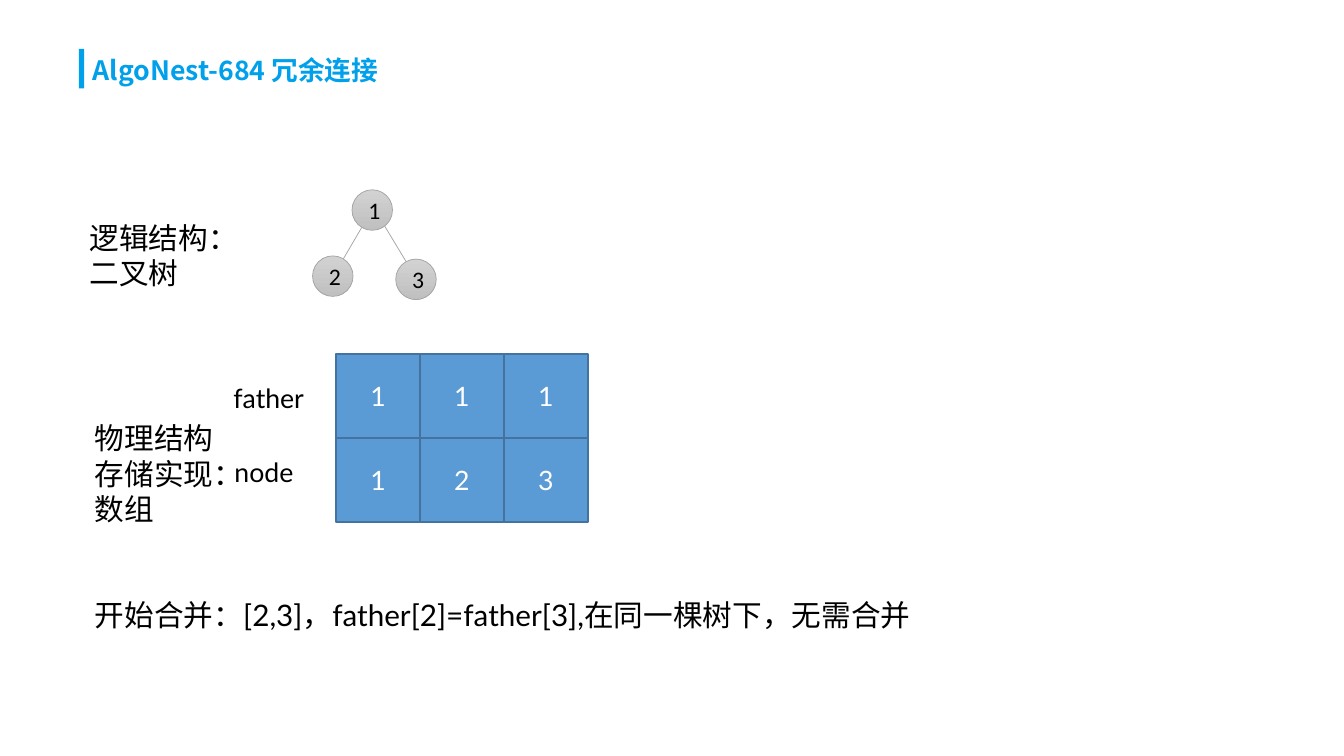
from dataclasses import dataclass

from lxml.etree import SubElement
from pptx import Presentation
from pptx.dml.color import RGBColor
from pptx.enum.shapes import MSO_CONNECTOR, MSO_SHAPE
from pptx.enum.text import MSO_ANCHOR, MSO_AUTO_SIZE, PP_ALIGN
from pptx.oxml.ns import qn
from pptx.shapes.autoshape import Shape
from pptx.slide import Slide
from pptx.text.text import TextFrame
from pptx.util import Inches, Pt

ACCENT = "00A0EA"
BLACK = "000000"
WHITE = "FFFFFF"
CELL_FILL = "5B9BD5"
CELL_LINE = "43739E"
NODE_TOP = "D2D2D2"
NODE_BOTTOM = "C0C0C0"
NODE_LINE = "A5A5A5"
CELL_SIZE = 0.787
NODE_SIZE = 0.38
GRID_LEFT, GRID_TOP = 3.15, 3.32


@dataclass(frozen=True)
class TextStyle:
    size: float
    font: str = "Lato"
    color: str = BLACK
    bold: bool = False


@dataclass(frozen=True)
class Label:
    text: str
    left: float
    top: float
    width: float
    height: float
    style: TextStyle


@dataclass(frozen=True)
class TreeNode:
    text: str
    left: float
    top: float


@dataclass(frozen=True)
class Edge:
    start: tuple[float, float]
    end: tuple[float, float]


TITLE = TextStyle(18, "Noto Sans CJK JP", ACCENT, True)
BODY = TextStyle(20)
ROW_NAME = TextStyle(18)
CELL_TEXT = TextStyle(18, color=WHITE)
NODE_TEXT = TextStyle(16, "Calibri")

LABELS = [
    Label("AlgoNest-684 冗余连接", 0.77, 0.46, 6.29, 0.4, TITLE),
    Label("开始合并：[2,3]，father[2]=father[3],在同一棵树下，无需合并",
          0.79, 5.55, 10.19, 0.77, BODY),
    Label("物理结构存储实现：数组", 0.79, 3.89, 1.54, 1.11, BODY),
    Label("逻辑结构：二叉树", 0.74, 2.01, 1.65, 0.77, BODY),
    Label("father", 2.09, 3.53, 1.02, 0.4, ROW_NAME),
    Label("node", 2.1, 4.23, 1.02, 0.4, ROW_NAME),
]
EDGES = [Edge((3.6, 2.11), (3.92, 2.64)), Edge((3.51, 1.93), (3.13, 2.58))]
NODES = [TreeNode("3", 3.71, 2.43), TreeNode("1", 3.3, 1.78), TreeNode("2", 2.93, 2.4)]
ARRAY_ROWS = ["111", "123"]  # father row, node row


def rgb(color: str) -> RGBColor:
    return RGBColor.from_string(color)


def write_text(frame: TextFrame, text: str, style: TextStyle) -> None:
    run = frame.paragraphs[0].add_run()
    run.text = text
    run.font.size = Pt(style.size)
    run.font.name = style.font
    run.font.bold = style.bold
    run.font.color.rgb = rgb(style.color)
    east_asian = SubElement(run.font._element, qn("a:ea"))
    east_asian.set("typeface", style.font)


def add_label(slide: Slide, label: Label) -> None:
    box = slide.shapes.add_textbox(Inches(label.left), Inches(label.top),
                                   Inches(label.width), Inches(label.height))
    frame = box.text_frame
    frame.word_wrap = True
    frame.auto_size = MSO_AUTO_SIZE.SHAPE_TO_FIT_TEXT
    write_text(frame, label.text, label.style)


def add_plain_shape(slide: Slide, kind: MSO_SHAPE, left: float, top: float,
                    width: float, height: float) -> Shape:
    shape = slide.shapes.add_shape(kind, Inches(left), Inches(top),
                                   Inches(width), Inches(height))
    shape.shadow.inherit = False
    return shape


def center_text(shape: Shape, text: str, style: TextStyle) -> None:
    frame = shape.text_frame
    frame.vertical_anchor = MSO_ANCHOR.MIDDLE
    frame.paragraphs[0].alignment = PP_ALIGN.CENTER
    write_text(frame, text, style)


def add_title_bar(slide: Slide) -> None:
    bar = add_plain_shape(slide, MSO_SHAPE.RECTANGLE, 0.74, 0.46, 0.05, 0.37)
    bar.fill.solid()
    bar.fill.fore_color.rgb = rgb(ACCENT)
    bar.line.fill.background()


def add_array_cell(slide: Slide, text: str, row: int, column: int) -> None:
    cell = add_plain_shape(slide, MSO_SHAPE.RECTANGLE, GRID_LEFT + column * CELL_SIZE,
                           GRID_TOP + row * CELL_SIZE, CELL_SIZE, CELL_SIZE)
    cell.fill.solid()
    cell.fill.fore_color.rgb = rgb(CELL_FILL)
    cell.line.color.rgb = rgb(CELL_LINE)
    cell.line.width = Pt(1)
    center_text(cell, text, CELL_TEXT)


def add_edge(slide: Slide, edge: Edge) -> None:
    start_x, start_y = edge.start
    end_x, end_y = edge.end
    line = slide.shapes.add_connector(MSO_CONNECTOR.STRAIGHT, Inches(start_x),
                                      Inches(start_y), Inches(end_x), Inches(end_y))
    line.line.color.rgb = rgb(NODE_LINE)
    line.line.width = Pt(0.5)
    SubElement(line._element.spPr, qn("a:effectLst"))


def add_tree_node(slide: Slide, node: TreeNode) -> None:
    circle = add_plain_shape(slide, MSO_SHAPE.OVAL, node.left, node.top,
                             NODE_SIZE, NODE_SIZE)
    circle.fill.gradient()
    circle.fill.gradient_angle = 270
    for stop, color in zip(circle.fill.gradient_stops, (NODE_TOP, NODE_BOTTOM)):
        stop.color.rgb = rgb(color)
    first, last = circle.fill.gradient_stops
    first.position, last.position = 0, 1
    circle.line.color.rgb = rgb(NODE_LINE)
    circle.line.width = Pt(0.5)
    center_text(circle, node.text, NODE_TEXT)


def main() -> None:
    presentation = Presentation()
    presentation.slide_width = Inches(12.6)
    presentation.slide_height = Inches(7.09)
    slide = presentation.slides.add_slide(presentation.slide_layouts[6])

    add_title_bar(slide)
    for label in LABELS:
        add_label(slide, label)
    for row, values in enumerate(ARRAY_ROWS):
        for column, value in enumerate(values):
            add_array_cell(slide, value, row, column)
    for edge in EDGES:
        add_edge(slide, edge)
    for node in NODES:
        add_tree_node(slide, node)

    presentation.save("out.pptx")


if __name__ == "__main__":
    main()
